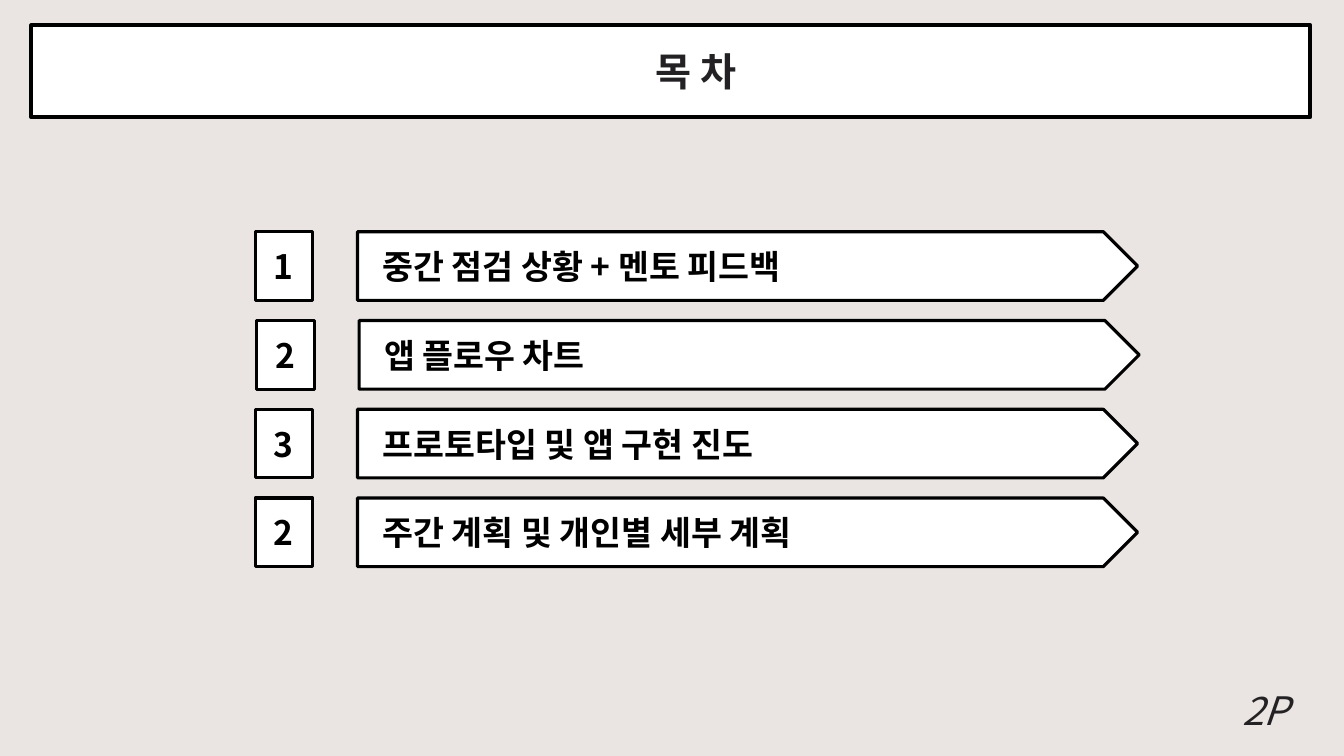
from lxml.etree import SubElement
from pptx import Presentation
from pptx.dml.color import RGBColor
from pptx.enum.shapes import MSO_SHAPE as Shape
from pptx.enum.text import MSO_ANCHOR as Anchor, PP_ALIGN as Align
from pptx.oxml.ns import qn
from pptx.util import Cm, Pt

FONT = "Noto Sans CJK KR"
INK, BLACK, WHITE, BACKGROUND = "232124", "000000", "FFFFFF", "EAE5E2"
TITLE = {"size": Pt(28), "bold": True}
ENTRY = {"size": Pt(24), "bold": True}
PAGE_NUMBER = {"size": Pt(28), "italic": True}

# number, heading, shift to the right in cm
CONTENTS = [
    ("1", "중간 점검 상황 + 멘토 피드백", 0),
    ("2", "앱 플로우 차트", 0.04),
    ("3", "프로토타입 및 앱 구현 진도", 0),
    ("2", "주간 계획 및 개인별 세부 계획", 0),
]


def color(value):
    return RGBColor.from_string(value)


def write(box, text, style, ink, align=Align.CENTER, inset=0.25):
    """Put one line of text in a shape, with its left inset in cm."""
    frame = box.text_frame
    frame.word_wrap = True
    frame.margin_left = Cm(inset)
    para = frame.paragraphs[0]
    para.alignment = align
    span = para.add_run()
    span.text = text
    for name, value in {"name": FONT, **style}.items():
        setattr(span.font, name, value)
    span.font.color.rgb = color(ink)
    # Korean letters take the East Asian typeface
    SubElement(span.font._element, qn("a:ea"), typeface=FONT)


def add_panel(page, kind, left, top, width, height, line_width):
    """Add a white shape with a black outline."""
    panel = page.shapes.add_shape(kind, Cm(left), Cm(top), Cm(width), Cm(height))
    panel.shadow.inherit = False
    panel.fill.solid()
    panel.fill.fore_color.rgb = color(WHITE)
    panel.line.color.rgb = color(BLACK)
    panel.line.width = Pt(line_width)
    panel.text_frame.vertical_anchor = Anchor.MIDDLE
    return panel


def add_title(page, left, top, width, height):
    banner = add_panel(page, Shape.RECTANGLE, left, top, width, height, 3)
    write(banner, "목 차", TITLE, INK, inset=1.52)


def add_contents(page, left, top, width, height):
    """Stack the numbered arrows so that the rows fill the given box."""
    row_height, number_width, arrow_offset = 1.73, 1.45, 2.58
    pitch = (height - row_height) / (len(CONTENTS) - 1)
    for index, (number, heading, shift) in enumerate(CONTENTS):
        x, y = left + shift, top + index * pitch
        square = add_panel(page, Shape.RECTANGLE, x, y, number_width, row_height, 2.25)
        write(square, number, ENTRY, BLACK)
        arrow = add_panel(page, Shape.PENTAGON, x + arrow_offset, y,
                          width - arrow_offset, row_height, 2.25)
        write(arrow, heading, ENTRY, BLACK, Align.LEFT, 0.63)


def add_page_number(page, left, top, width, height):
    box = page.shapes.add_textbox(Cm(left), Cm(top), Cm(width), Cm(height))
    write(box, "2P", PAGE_NUMBER, INK)


def main():
    deck = Presentation()
    deck.slide_width, deck.slide_height = Cm(33.87), Cm(19.05)
    page = deck.slides.add_slide(deck.slide_layouts[6])
    page.background.fill.solid()
    page.background.fill.fore_color.rgb = color(BACKGROUND)
    add_title(page, 0.79, 0.64, 32.23, 2.31)
    add_contents(page, 6.43, 5.84, 22.24, 8.44)
    add_page_number(page, 30.48, 17.17, 2.82, 1.45)
    deck.save("out.pptx")


if __name__ == "__main__":
    main()
